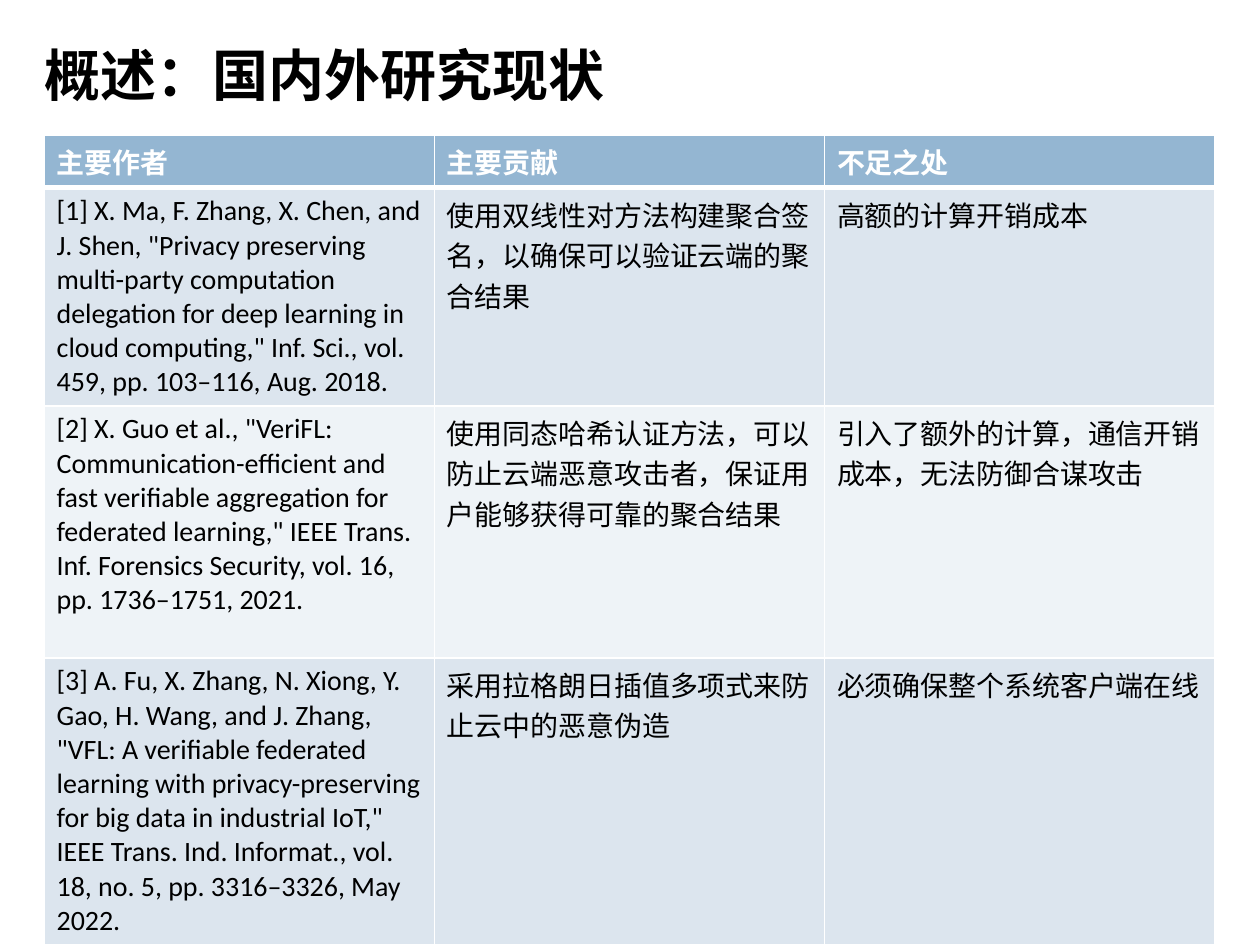
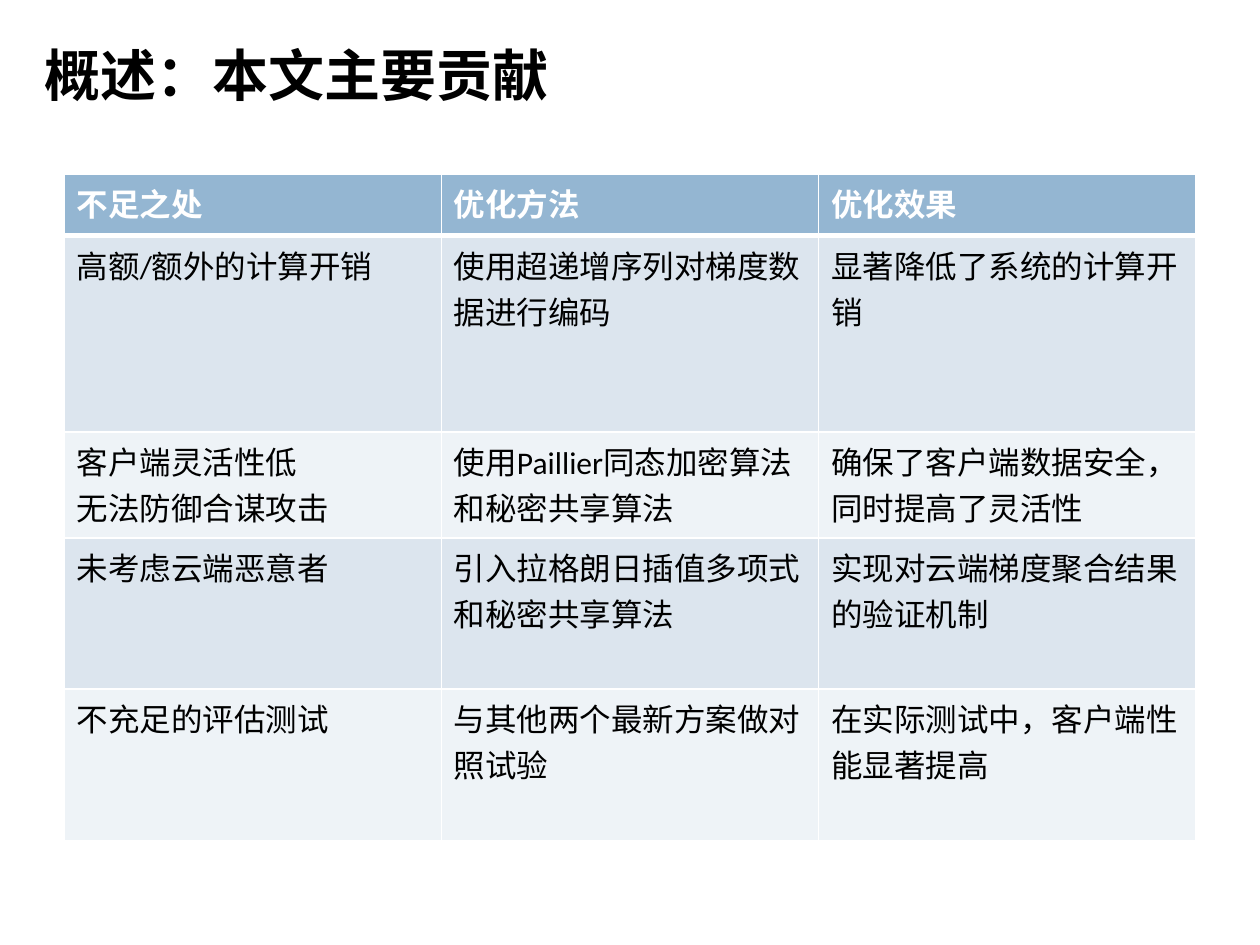
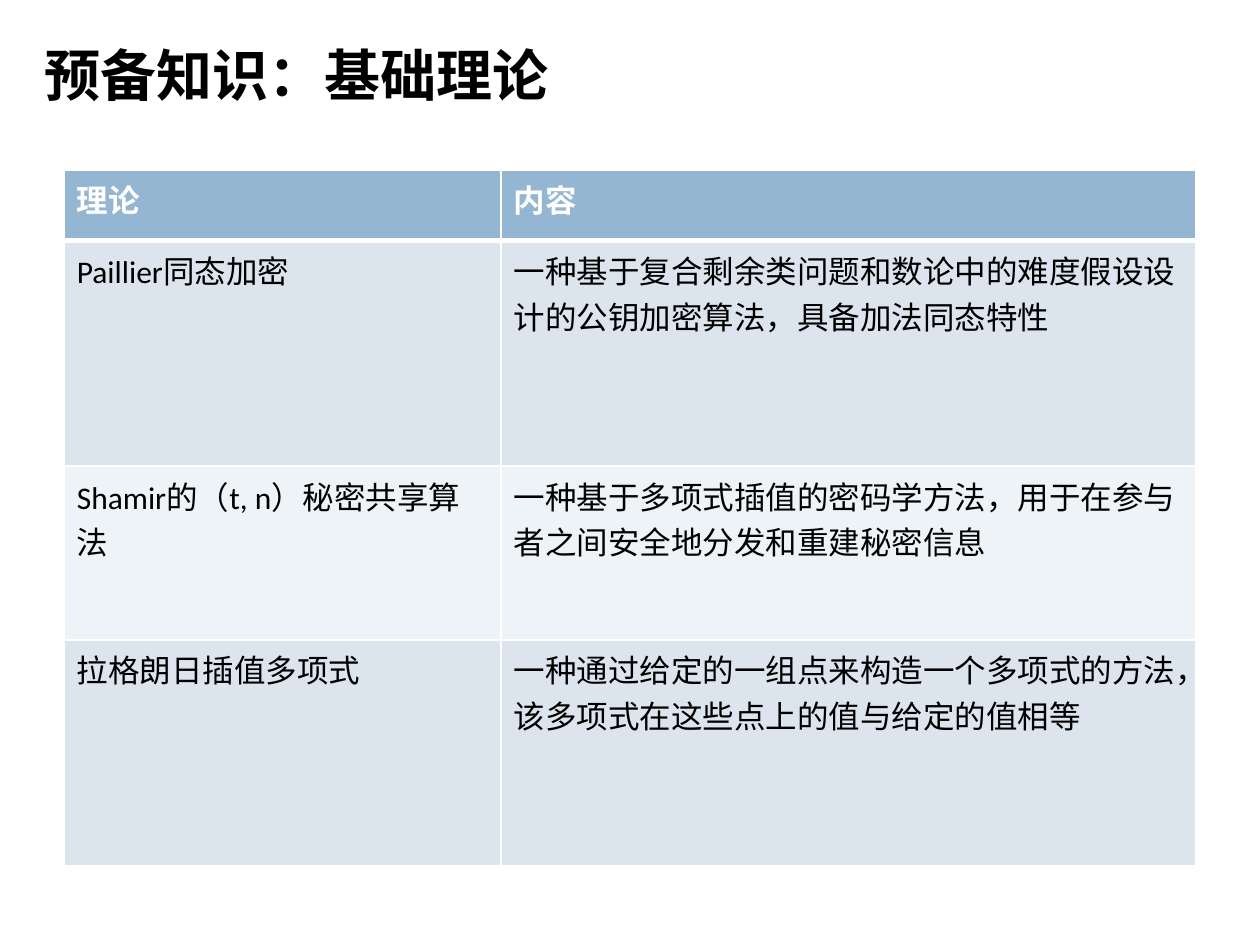
from pptx import Presentation
from pptx.dml.color import RGBColor
from pptx.enum.lang import MSO_LANGUAGE_ID
from pptx.enum.text import MSO_ANCHOR, PP_ALIGN
from pptx.oxml import parse_xml
from pptx.oxml.ns import nsdecls
from pptx.util import Inches, Pt

HUES = {"head": "94B6D2", "odd": "DCE5EE", "even": "EEF3F7", "ink": "000000", "line": "FFFFFF"}
HAN = "Noto Sans CJK SC"
WIDE, HIGH = Inches(10), Inches(7.5)

PAGES = [
    {
        "title": "概述：国内外研究现状",
        "box": (0.35, 1.07, 9.29, 6.3),
        "size": 16,
        "cols": (1, 1, 1),
        "rows": (0.35, 1.69, 2, 1.15),
        "cells": [
            ("主要作者", "主要贡献", "不足之处"),
            ('[1] X. Ma, F. Zhang, X. Chen, and J. Shen, "Privacy preserving multi-party computation '
             'delegation for deep learning in cloud computing," Inf. Sci., vol. 459, pp. 103–116, Aug. 2018.',
             "使用双线性对方法构建聚合签名，以确保可以验证云端的聚合结果",
             "高额的计算开销成本"),
            ('[2] X. Guo et al., "VeriFL: Communication-efficient and fast verifiable aggregation for '
             'federated learning," IEEE Trans. Inf. Forensics Security, vol. 16, pp. 1736–1751, 2021.',
             "使用同态哈希认证方法，可以防止云端恶意攻击者，保证用户能够获得可靠的聚合结果",
             "引入了额外的计算，通信开销成本，无法防御合谋攻击"),
            ('[3] A. Fu, X. Zhang, N. Xiong, Y. Gao, H. Wang, and J. Zhang, "VFL: A verifiable federated '
             'learning with privacy-preserving for big data in industrial IoT," IEEE Trans. Ind. Informat., '
             'vol. 18, no. 5, pp. 3316–3326, May 2022.',
             "采用拉格朗日插值多项式来防止云中的恶意伪造",
             "必须确保整个系统客户端在线"),
        ],
    },
    {
        "title": "概述：本文主要贡献",
        "box": (0.51, 1.38, 8.98, 5.29),
        "size": 18,
        "cols": (1, 1, 1),
        "rows": (0.49, 1.56, 0.84, 1.2, 1.2),
        "cells": [
            ("不足之处", "优化方法", "优化效果"),
            ("高额/额外的计算开销", "使用超递增序列对梯度数据进行编码", "显著降低了系统的计算开销"),
            ("客户端灵活性低\n无法防御合谋攻击", "使用Paillier同态加密算法和秘密共享算法",
             "确保了客户端数据安全，同时提高了灵活性"),
            ("未考虑云端恶意者", "引入拉格朗日插值多项式和秘密共享算法", "实现对云端梯度聚合结果的验证机制"),
            ("不充足的评估测试", "与其他两个最新方案做对照试验", "在实际测试中，客户端性能显著提高"),
        ],
    },
    {
        "title": "预备知识：基础理论",
        "box": (0.51, 1.35, 8.98, 5.51),
        "size": 18,
        "cols": (3.47, 5.52),
        "rows": (0.56, 1.79, 1.38, 1.79),
        "cells": [
            ("理论", "内容"),
            ("Paillier同态加密",
             "一种基于复合剩余类问题和数论中的难度假设设计的公钥加密算法，具备加法同态特性"),
            ("Shamir的（t, n）秘密共享算法",
             "一种基于多项式插值的密码学方法，用于在参与者之间安全地分发和重建秘密信息"),
            ("拉格朗日插值多项式",
             "一种通过给定的一组点来构造一个多项式的方法，该多项式在这些点上的值与给定的值相等"),
        ],
    },
]


def style(frame, hue, **form):
    for para in frame.paragraphs:
        para.alignment = PP_ALIGN.LEFT
        for run in para.runs:
            for key, value in form.items():
                setattr(run.font, key, value)
            run.font.language_id = MSO_LANGUAGE_ID.SIMPLIFIED_CHINESE
            run.font.color.rgb = RGBColor.from_string(HUES[hue])
            run.font._element.append(parse_xml(f'<a:ea {nsdecls("a")} typeface="{HAN}"/>'))


def edge(cell, row):
    thick = {"T": 3 if row == 1 else 1, "B": 3 if row == 0 else 1}
    for side in "LRTB":
        cell._tc.get_or_add_tcPr().append(parse_xml(
            f'<a:ln{side} {nsdecls("a")} w="{Pt(thick.get(side, 1))}"><a:solidFill>'
            f'<a:srgbClr val="{HUES["line"]}"/></a:solidFill></a:ln{side}>'))


deck = Presentation()
deck.slide_width, deck.slide_height = WIDE, HIGH

for page in PAGES:
    slide = deck.slides.add_slide(deck.slide_layouts[5])
    title = slide.shapes.title
    place = {"left": 0.25, "top": 0.25, "width": 6.92, "height": 0.67}
    for key, value in place.items():
        setattr(title, key, Inches(value))
    title.text_frame.text = page["title"]
    title.text_frame.vertical_anchor = MSO_ANCHOR.MIDDLE
    style(title.text_frame, "ink", name=HAN, size=Pt(32), bold=True)

    box = [Inches(value) for value in page["box"]]
    frame = slide.shapes.add_table(len(page["rows"]), len(page["cols"]), *box)
    table = frame.table
    for col, share in zip(table.columns, page["cols"]):
        col.width = int(box[2] * share / sum(page["cols"]))
    for line, high in zip(table.rows, page["rows"]):
        line.height = Inches(high)
    frame.height = box[3]

    for row, texts in enumerate(page["cells"]):
        band = "head" if row == 0 else "odd" if row % 2 else "even"
        for col, text in enumerate(texts):
            cell = table.cell(row, col)
            cell.text = text
            edge(cell, row)
            cell.fill.solid()
            cell.fill.fore_color.rgb = RGBColor.from_string(HUES[band])
            style(cell.text_frame, "ink" if row else "line",
                  name="Calibri", size=Pt(page["size"]), bold=row == 0)

deck.save("out.pptx")
